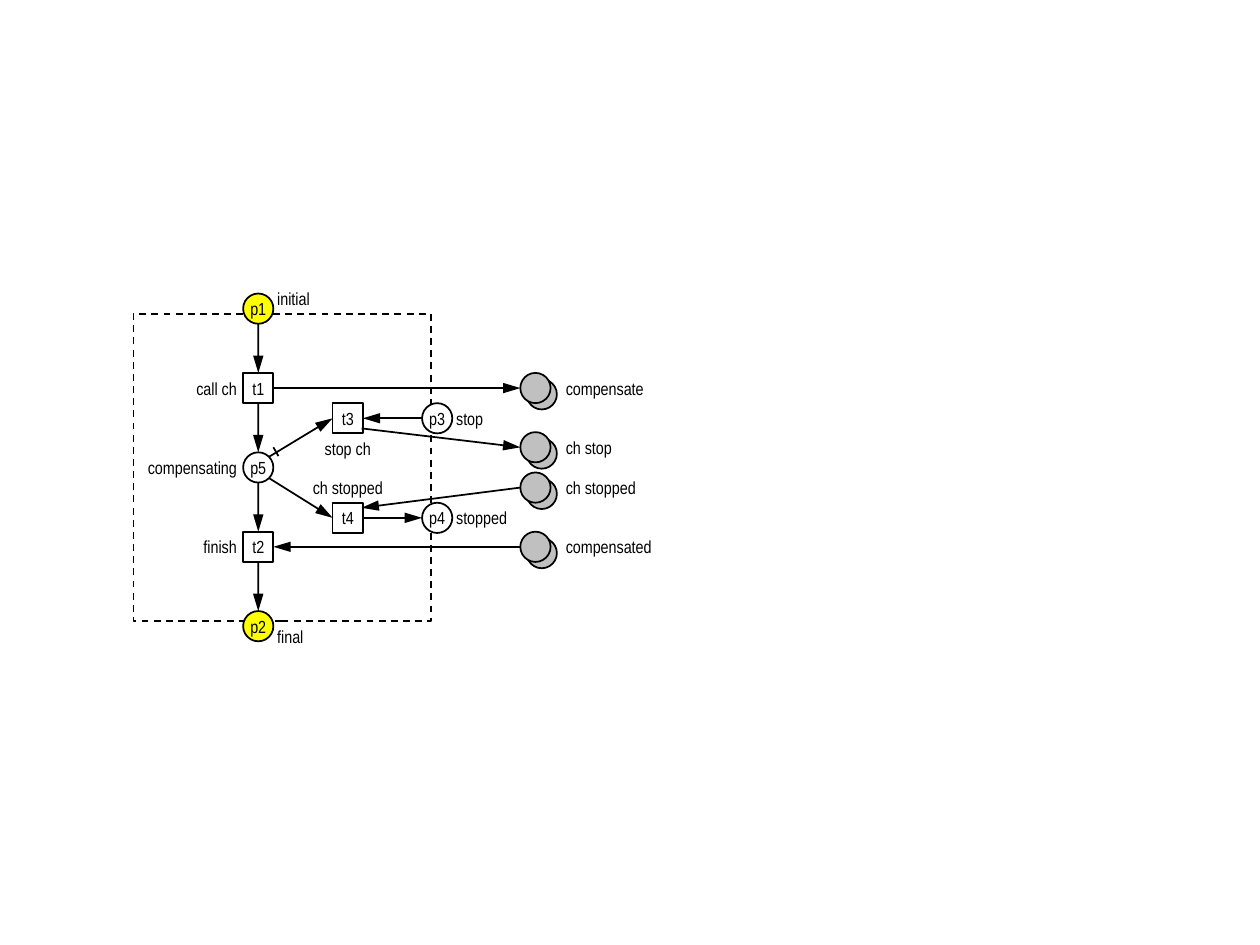
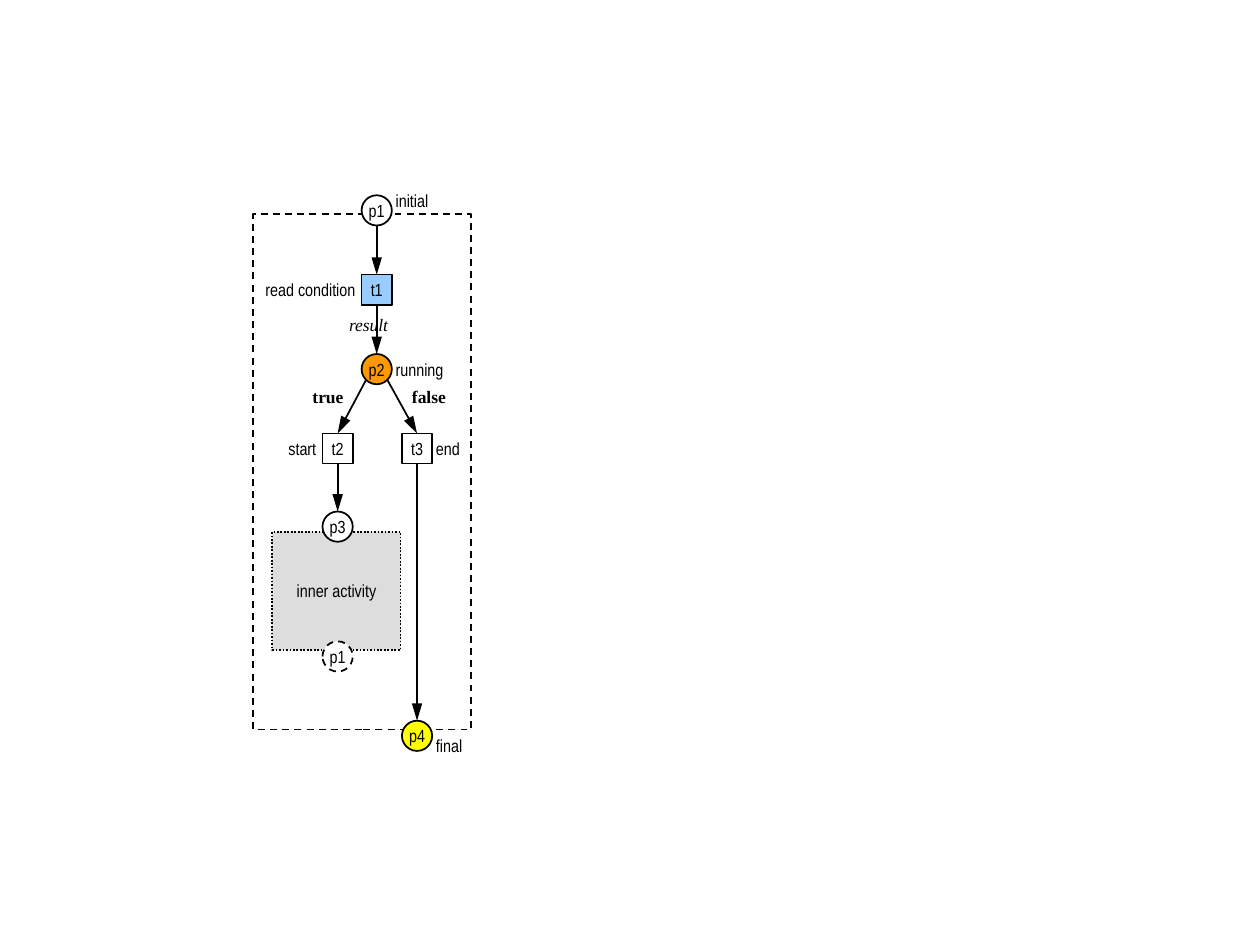
from dataclasses import dataclass

from lxml.etree import SubElement
from pptx import Presentation
from pptx.dml.color import RGBColor
from pptx.enum.dml import MSO_LINE
from pptx.enum.shapes import MSO_CONNECTOR, MSO_SHAPE
from pptx.enum.text import MSO_ANCHOR, MSO_AUTO_SIZE, PP_ALIGN
from pptx.oxml.ns import qn
from pptx.util import Inches, Pt

COLORS = {
    "black": "000000",
    "white": "FFFFFF",
    "yellow": "FFFF00",
    "orange": "FF9900",
    "blue": "99CCFF",
    "silver": "C0C0C0",
    "pale": "DDDDDD",
}
SANS, SERIF = "Arial Narrow", "Times New Roman"
SIZE = 0.24
TAG = 0.31
SHIFT = 0.05
SITES = {"top": 0, "left": 1, "bottom": 2, "right": 3}
SPOTS = {
    "top": (0.5, 0),
    "left": (0, 0.5),
    "bottom": (0.5, 1),
    "right": (1, 0.5),
    "upper right": (0.85, 0.15),
    "lower right": (0.85, 0.85),
    "lower left": (0.15, 0.85),
}
FORMS = {"place": MSO_SHAPE.OVAL, "step": MSO_SHAPE.RECTANGLE}


@dataclass(frozen=True)
class Spot:
    dx: float
    dy: float
    width: float = TAG
    align: PP_ALIGN = PP_ALIGN.LEFT
    inset: tuple = (0.04, 0, 0.04, 0)


@dataclass(frozen=True)
class Node:
    key: str
    x: float
    y: float
    form: str = "place"
    fill: str | None = "white"
    tag: str = ""
    side: str = "right"
    text: str | None = None
    dash: MSO_LINE | None = None
    width: float = SIZE
    height: float = SIZE
    twin: bool = False


@dataclass(frozen=True)
class Arrow:
    start: tuple
    end: tuple
    head: bool = True


@dataclass(frozen=True)
class Note:
    text: str
    x: float
    y: float
    width: float
    height: float
    style: dict


TAGS = {
    "right": Spot(0.23, 0),
    "raised": Spot(0.23, -0.08),
    "lowered": Spot(0.23, 0.08),
    "far": Spot(0.32, 0),
    "left": Spot(-0.32, 0, align=PP_ALIGN.RIGHT),
    "above": Spot(0, -SIZE, SIZE, PP_ALIGN.CENTER, (0, 0.04, 0, 0.04)),
    "below": Spot(0, SIZE, SIZE, PP_ALIGN.CENTER, (0, 0.04, 0, 0.04)),
}


def color(name: str) -> RGBColor:
    return RGBColor.from_string(COLORS[name])


def write(shape, text: str, *, font: str = SANS, bold: bool = False,
          italic: bool = False, align=PP_ALIGN.CENTER, anchor=MSO_ANCHOR.MIDDLE,
          inset: tuple = (0.1, 0.05, 0.1, 0.05), grow: bool = False) -> None:
    frame = shape.text_frame
    frame.word_wrap = False
    frame.auto_size = MSO_AUTO_SIZE.SHAPE_TO_FIT_TEXT if grow else MSO_AUTO_SIZE.NONE
    frame.vertical_anchor = anchor
    (frame.margin_left, frame.margin_top,
     frame.margin_right, frame.margin_bottom) = map(Inches, inset)
    line = frame.paragraphs[0]
    line.alignment = align
    run = line.add_run()
    run.text = text
    run.font.name, run.font.size = font, Pt(10)
    run.font.bold, run.font.italic = bold, italic
    run.font.color.rgb = color("black")


def label(slide, text: str, x: float, y: float, width: float, height: float,
          **style) -> None:
    box = slide.shapes.add_textbox(*map(Inches, (x, y, width, height)))
    write(box, text, **style)


def outline(slide, node: Node, shift: float = 0):
    area = (node.x + shift, node.y + shift, node.width, node.height)
    shape = slide.shapes.add_shape(FORMS[node.form], *map(Inches, area))
    shape.shadow.inherit = False
    if node.fill:
        shape.fill.solid()
        shape.fill.fore_color.rgb = color(node.fill)
    else:
        shape.fill.background()
    shape.line.color.rgb = color("black")
    shape.line.width = Pt(1)
    if node.dash:
        shape.line.dash_style = node.dash
    return shape


def draw_node(slide, node: Node):
    if node.twin:
        outline(slide, node, SHIFT)
    shape = outline(slide, node)
    text = node.key if node.text is None else node.text
    if text:
        write(shape, text)
    return shape


def draw_tag(slide, node: Node) -> None:
    spot = TAGS[node.side]
    label(slide, node.tag, node.x + spot.dx, node.y + spot.dy, spot.width, SIZE,
          align=spot.align, inset=spot.inset)


def point(end: tuple, nodes: dict) -> tuple:
    if end[0] not in nodes:
        return end
    node = nodes[end[0]]
    across, down = SPOTS[end[1]]
    return node.x + across * node.width, node.y + down * node.height


def draw_arrow(slide, arrow: Arrow, nodes: dict, shapes: dict) -> None:
    places = (*point(arrow.start, nodes), *point(arrow.end, nodes))
    line = slide.shapes.add_connector(MSO_CONNECTOR.STRAIGHT, *map(Inches, places))
    for end, join in ((arrow.start, line.begin_connect), (arrow.end, line.end_connect)):
        if end[0] in nodes and nodes[end[0]].form == "step":
            join(shapes[end[0]], SITES[end[1]])
    line.line.color.rgb = color("black")
    line.line.width = Pt(1)
    props = line.line._get_or_add_ln()
    if arrow.head:
        SubElement(props, qn("a:tailEnd"), type="triangle", w="med", len="lg")
    SubElement(props.getparent(), qn("a:effectLst"))


def draw_net(deck, nodes: list[Node], arrows: list[Arrow], notes: list[Note]) -> None:
    slide = deck.slides.add_slide(deck.slide_layouts[6])
    table = {node.key: node for node in nodes}
    shapes = {node.key: draw_node(slide, node) for node in nodes}
    for arrow in arrows:
        draw_arrow(slide, arrow, table, shapes)
    for node in nodes:
        if node.tag:
            draw_tag(slide, node)
    for note in notes:
        label(slide, note.text, note.x, note.y, note.width, note.height, **note.style)


def border(x: float, y: float, width: float, height: float) -> Node:
    return Node("frame", x, y, "step", None, text="", dash=MSO_LINE.DASH,
                width=width, height=height)


def chain(*keys: str) -> list[Arrow]:
    return [Arrow((a, "bottom"), (b, "top")) for a, b in zip(keys, keys[1:])]


def stop_net(deck) -> None:
    main, mid, port = 1.93, 2.64, 3.35
    rows = {"compensate": 2.96, "ch stop": 3.43, "ch stopped": 3.75, "compensated": 4.22}
    nodes = [
        border(1.06, 2.49, 2.36, 2.44),
        Node("p1", main, 2.33, fill="yellow", tag="initial", side="raised"),
        Node("t1", main, 2.96, "step", tag="call ch", side="left"),
        Node("p5", main, 3.59, tag="compensating", side="left"),
        Node("t2", main, 4.22, "step", tag="finish", side="left"),
        Node("p2", main, 4.85, fill="yellow", tag="final", side="lowered"),
        Node("t3", mid, 3.2, "step", tag="stop ch", side="below"),
        Node("t4", mid, 3.99, "step", tag="ch stopped", side="above"),
        Node("p3", port, 3.2, tag="stop"),
        Node("p4", port, 3.99, tag="stopped"),
    ]
    nodes += [Node(key, 4.13, y, fill="silver", tag=key, side="far", text="", twin=True)
              for key, y in rows.items()]
    arrows = chain("p1", "t1", "p5", "t2", "p2") + [
        Arrow(("p3", "left"), ("t3", "right")),
        Arrow(("t4", "right"), ("p4", "left")),
        Arrow(("p5", "upper right"), ("t3", "left")),
        Arrow(("p5", "lower right"), ("t4", "left")),
        Arrow((2.17, 3.55), (2.21, 3.62), head=False),
        Arrow(("t1", "right"), ("compensate", "left")),
        Arrow((2.87, 3.4), ("ch stop", "left")),
        Arrow(("ch stopped", "left"), (2.87, 4.03)),
        Arrow(("compensated", "left"), ("t2", "right")),
    ]
    draw_net(deck, nodes, arrows, [])


def choice_net(deck) -> None:
    main, left, right = 2.87, 2.56, 3.19
    nodes = [
        border(2.01, 1.7, 1.73, 4.09),
        Node("p1", main, 1.55, tag="initial", side="raised"),
        Node("t1", main, 2.18, "step", "blue", "read condition", "left"),
        Node("p2", main, 2.81, fill="orange", tag="running"),
        Node("t2", left, 3.44, "step", tag="start", side="left"),
        Node("t3", right, 3.44, "step", tag="end"),
        Node("inner activity", 2.16, 4.22, "step", "pale", dash=MSO_LINE.ROUND_DOT,
             width=1.02, height=0.94),
        Node("p3", left, 4.06),
        Node("again", left, 5.09, text="p1", dash=MSO_LINE.DASH),
        Node("p4", right, 5.72, fill="yellow", tag="final", side="lowered"),
    ]
    arrows = chain("p1", "t1", "p2") + chain("t2", "p3") + chain("t3", "p4") + [
        Arrow(("p2", "lower left"), ("t2", "top")),
        Arrow(("p2", "lower right"), ("t3", "top")),
    ]
    guard = dict(font=SERIF, bold=True, align=PP_ALIGN.LEFT, anchor=MSO_ANCHOR.TOP,
                 inset=(0, 0, 0, 0), grow=True)
    value = dict(font=SERIF, italic=True, align=PP_ALIGN.RIGHT, anchor=MSO_ANCHOR.TOP,
                 inset=(0.28, 0.08, 0.28, 0))
    notes = [
        Note("true", 2.48, 3.06, 0.25, 0.17, guard),
        Note("false", 3.27, 3.06, 0.27, 0.17, guard),
        Note("result", 2.8, 2.41, TAG, 0.39, value),
    ]
    draw_net(deck, nodes, arrows, notes)


def main() -> None:
    deck = Presentation()
    deck.slide_width, deck.slide_height = Inches(10), Inches(7.5)
    stop_net(deck)
    choice_net(deck)
    deck.save("out.pptx")


if __name__ == "__main__":
    main()
